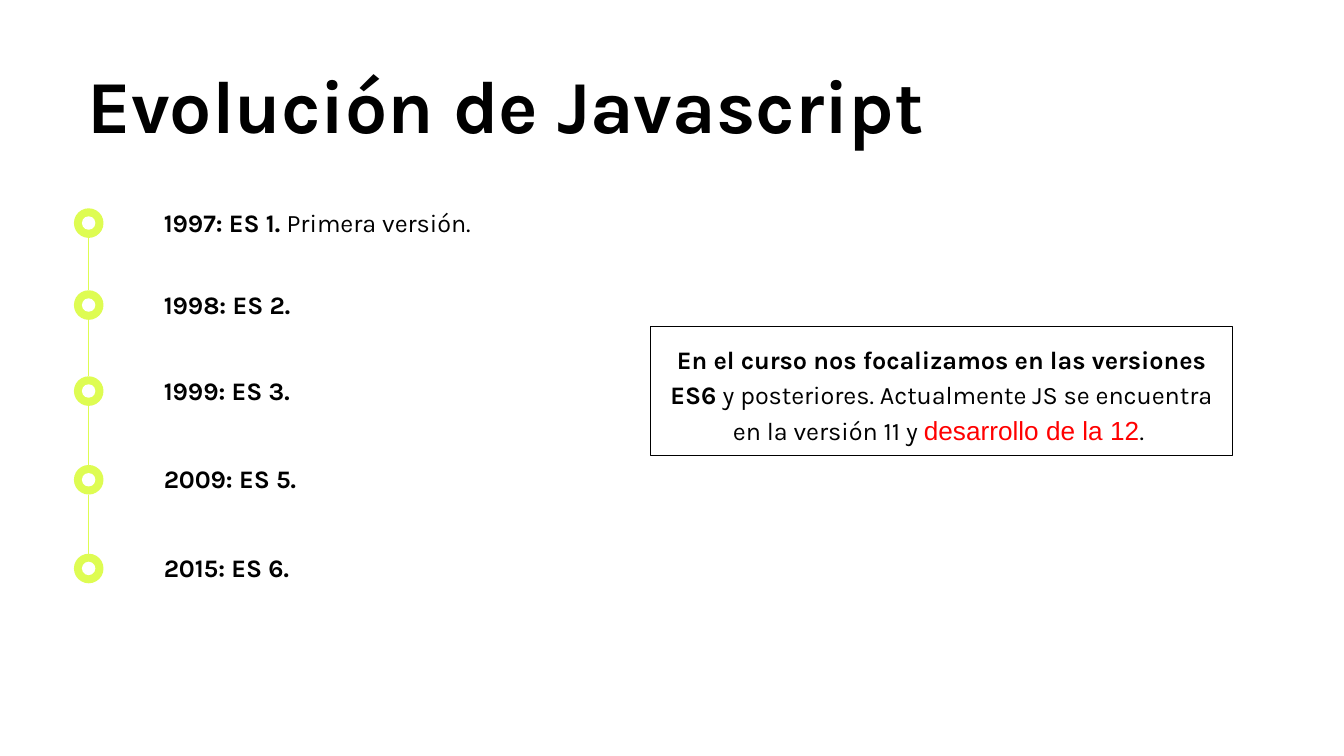
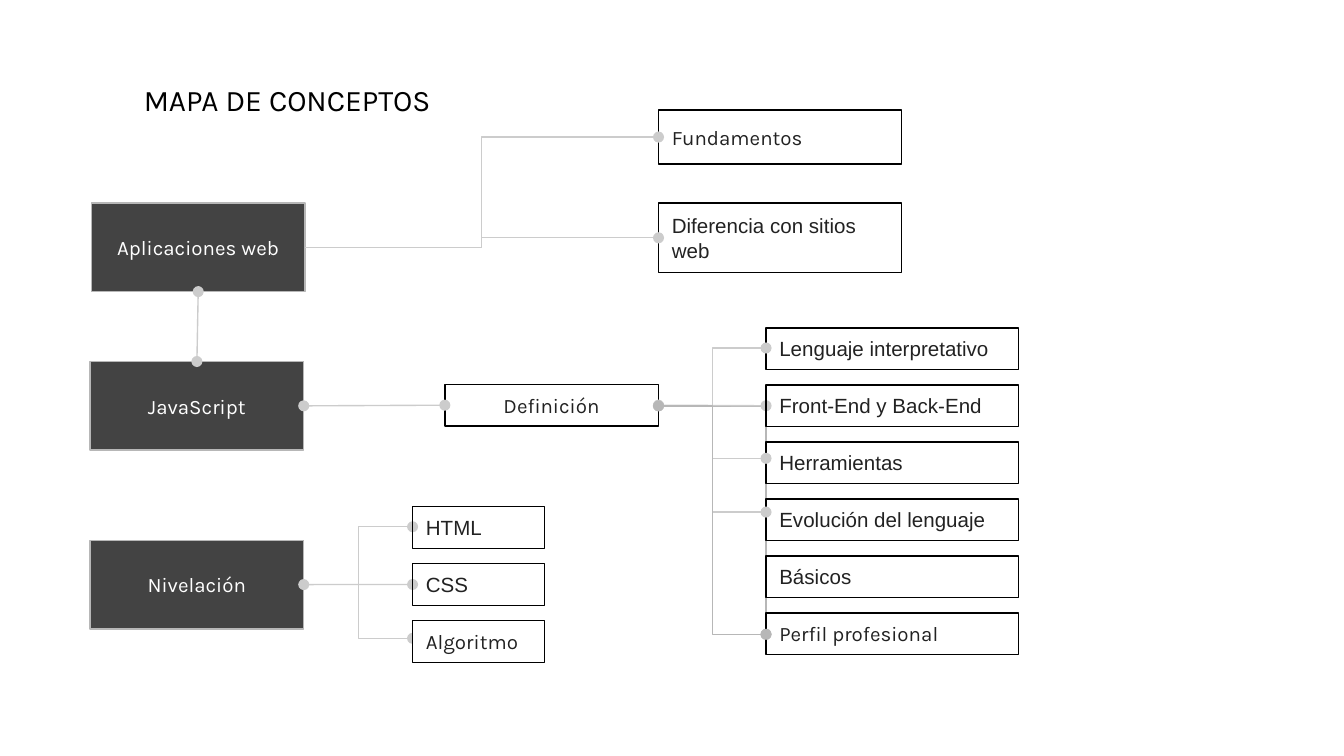
from pptx import Presentation
from pptx.dml.color import RGBColor
from pptx.enum.shapes import MSO_CONNECTOR, MSO_SHAPE
from pptx.enum.text import MSO_ANCHOR, MSO_AUTO_SIZE, PP_ALIGN
from pptx.oxml.ns import qn
from pptx.util import Inches, Pt
from lxml.etree import SubElement

SLIDE_WIDTH = 10
SLIDE_HEIGHT = SLIDE_WIDTH * 9 / 16

BLACK = RGBColor(0x00, 0x00, 0x00)
WHITE = RGBColor(0xFF, 0xFF, 0xFF)
LIME = RGBColor(0xDE, 0xFC, 0x52)
RED = RGBColor(0xFF, 0x00, 0x00)
INK = RGBColor(0x22, 0x22, 0x22)
DARK = RGBColor(0x43, 0x43, 0x43)
MID_GRAY = RGBColor(0xB7, 0xB7, 0xB7)
LIGHT_GRAY = RGBColor(0xCC, 0xCC, 0xCC)

TITLE_FONT = {"name": "Karla", "size": Pt(40), "bold": True, "color": BLACK}
MAP_TITLE_FONT = {"name": "Karla", "size": Pt(16), "bold": False, "color": BLACK}
BODY_FONT = {"name": "Karla", "size": Pt(13.5), "bold": False, "color": BLACK}
BOLD_FONT = {**BODY_FONT, "bold": True}
ALERT_FONT = {"name": "Arial", "size": Pt(14), "bold": False, "color": RED}
KARLA_LABEL = {"name": "Karla", "size": Pt(11), "bold": False, "color": INK}
ARIAL_LABEL = {**KARLA_LABEL, "name": "Arial"}
TOPIC_LABEL = {**KARLA_LABEL, "color": WHITE}

MILESTONES = [
    (1.55, [("1997: ES 1. ", BOLD_FONT), ("Primera versión.", BODY_FONT)]),
    (2.16, [("1998: ES 2.", BOLD_FONT)]),
    (2.80, [("1999: ES 3.", BOLD_FONT)]),
    (3.46, [("2009: ES 5.", BOLD_FONT)]),
    (4.12, [("2015: ES 6.", BOLD_FONT)]),
]
CALLOUT = [
    ("En el curso nos focalizamos en las versiones ES6 ", BOLD_FONT),
    ("y posteriores. Actualmente JS se encuentra en la versión 11 y ", BODY_FONT),
    ("desarrollo de la 12", ALERT_FONT),
    (". ", BODY_FONT),
]
MARKER_LEFT, MARKER_SIZE, HOLE_SIZE = 0.55, 0.22, 0.1

TOPICS = [("Aplicaciones web", 0.68, 1.51), ("JavaScript", 0.67, 2.69), ("Nivelación", 0.67, 4.02)]
WEB_BOXES = [
    ("Fundamentos", (4.9, 0.82, 1.81, 0.4), KARLA_LABEL),
    ("Diferencia con sitios web", (4.9, 1.51, 1.81, 0.52), ARIAL_LABEL),
]
LANGUAGE_LABELS = [
    ("Lenguaje interpretativo", ARIAL_LABEL),
    ("Front-End y Back-End", ARIAL_LABEL),
    ("Herramientas", ARIAL_LABEL),
    ("Evolución del lenguaje", ARIAL_LABEL),
    ("Básicos", ARIAL_LABEL),
    ("Perfil profesional", KARLA_LABEL),
]
LEVEL_LABELS = [("HTML", ARIAL_LABEL), ("CSS", ARIAL_LABEL), ("Algoritmo", KARLA_LABEL)]
ROW_HEIGHT = 0.31
ROW_STEP = (4.56 - 2.44) / 5
TOP, LEFT, BOTTOM, RIGHT = range(4)
JOINS = [
    ("JavaScript", TOP, "Aplicaciones web", BOTTOM),
    ("JavaScript", RIGHT, "Definición", LEFT),
    ("Definición", RIGHT, "Front-End y Back-End", LEFT),
    ("Nivelación", RIGHT, "CSS", LEFT),
]
BRANCHES = [
    ((2.27, 1.84), 4.9, [1.02, 1.77]),
    ((4.9, 3.02), 5.7, [2.59, 3.41, 3.81]),
    ((2.27, 4.35), 3.07, [3.92, 4.75]),
]
PROFILE_ROUTE = ((4.9, 3.02), (5.7, 4.72))
BOTH_ENDS = ("headEnd", "tailEnd")
FRONT_BOXES = ["HTML", "CSS", "Algoritmo", "Front-End y Back-End"]


def write(box, runs, align=PP_ALIGN.LEFT, anchor=MSO_ANCHOR.TOP, spacing=1.0):
    frame = box.text_frame
    layout = {"word_wrap": True, "auto_size": MSO_AUTO_SIZE.NONE, "vertical_anchor": anchor}
    for side in ("left", "top", "right", "bottom"):
        layout[f"margin_{side}"] = Inches(0.1)
    for name, value in layout.items():
        setattr(frame, name, value)
    para = frame.paragraphs[0]
    para.alignment = align
    para.line_spacing = spacing
    for text, style in runs:
        span = para.add_run()
        span.text = text
        for name, value in style.items():
            if name == "color":
                span.font.color.rgb = value
            else:
                setattr(span.font, name, value)


def add_page(deck, title, place, style, spacing=1.0):
    page = deck.slides.add_slide(deck.slide_layouts[5])
    page.background.fill.solid()
    page.background.fill.fore_color.rgb = WHITE
    box = page.shapes.title
    box.left, box.top, box.width, box.height = map(Inches, place)
    write(box, [(title, style)], spacing=spacing)
    return page


def add_box(shapes, place, fill=None, line=None, kind=MSO_SHAPE.RECTANGLE):
    box = shapes.add_shape(kind, *map(Inches, place))
    box.shadow.inherit = False
    if fill is None:
        box.fill.background()
    else:
        box.fill.solid()
        box.fill.fore_color.rgb = fill
    if line is None:
        box.line.fill.background()
    else:
        box.line.color.rgb = line
        box.line.width = Pt(0.75)
    return box


def add_wire(page, start, end, color, kind=MSO_CONNECTOR.STRAIGHT, ovals=()):
    wire = page.shapes.add_connector(kind, *map(Inches, (*start, *end)))
    wire.line.color.rgb = color
    wire.line.width = Pt(0.75)
    properties = wire._element.spPr
    for oval in ovals:
        SubElement(properties.find(qn("a:ln")), qn(f"a:{oval}"), type="oval")
    SubElement(properties, qn("a:effectLst"))
    return wire


def build_timeline(deck):
    page = add_page(deck, "Evolución de Javascript", (0.55, 0.41, 8.9, 0.81), TITLE_FONT, 0.9)
    center = MARKER_LEFT + MARKER_SIZE / 2
    inset = (MARKER_SIZE - HOLE_SIZE) / 2
    for (top, _), (next_top, _) in zip(MILESTONES, MILESTONES[1:]):
        add_wire(page, (center, top + MARKER_SIZE), (center, next_top), LIME)
    for top, runs in MILESTONES:
        marker = page.shapes.add_group_shape()
        for offset, size, color in ((0, MARKER_SIZE, LIME), (inset, HOLE_SIZE, WHITE)):
            place = (MARKER_LEFT + offset, top + offset, size, size)
            add_box(marker.shapes, place, color, kind=MSO_SHAPE.OVAL)
        label = page.shapes.add_textbox(*map(Inches, (1.12, top - 0.11, 2.89, 0.43)))
        write(label, runs)
    callout = add_box(page.shapes, (4.84, 2.43, 4.33, 0.96), line=BLACK)
    write(callout, CALLOUT, PP_ALIGN.CENTER, spacing=1.15)


def build_concept_map(deck):
    page = add_page(deck, "MAPA DE CONCEPTOS", (0.97, 0.51, 2.69, 0.47), MAP_TITLE_FONT)
    center = PP_ALIGN.CENTER
    boxes = {}

    def add_concept(text, place, style, align=PP_ALIGN.LEFT, fill=None, line=BLACK):
        boxes[text] = add_box(page.shapes, place, fill, line)
        write(boxes[text], [(text, style)], align, MSO_ANCHOR.MIDDLE)

    corner = add_wire(page, *PROFILE_ROUTE, MID_GRAY, MSO_CONNECTOR.ELBOW, BOTH_ENDS)
    corner._element.spPr.find(qn("a:prstGeom")).set("prst", "bentConnector2")
    for text, left, top in TOPICS:
        add_concept(text, (left, top, 1.59, 0.66), TOPIC_LABEL, center, DARK, MID_GRAY)
    for text, place, style in WEB_BOXES:
        add_concept(text, place, style)
    add_concept("Definición", (3.31, 2.86, 1.59, ROW_HEIGHT), KARLA_LABEL, center)
    for labels, left, top, width in ((LANGUAGE_LABELS, 5.7, 2.44, 1.88), (LEVEL_LABELS, 3.07, 3.77, 0.98)):
        for row, (text, style) in enumerate(labels):
            fill = WHITE if text == "Algoritmo" else None
            add_concept(text, (left, top + row * ROW_STEP, width, ROW_HEIGHT), style, fill=fill)

    for source, source_side, target, target_side in JOINS:
        wire = add_wire(page, (0, 0), (1, 1), LIGHT_GRAY, ovals=BOTH_ENDS)
        wire.begin_connect(boxes[source], source_side)
        wire.end_connect(boxes[target], target_side)
    for start, right, ends in BRANCHES:
        for end in ends:
            add_wire(page, start, (right, end), LIGHT_GRAY, MSO_CONNECTOR.ELBOW, ("tailEnd",))
    add_wire(page, *PROFILE_ROUTE, MID_GRAY, MSO_CONNECTOR.ELBOW, BOTH_ENDS)
    for text in FRONT_BOXES:
        element = boxes[text]._element
        element.getparent().append(element)


def main():
    deck = Presentation()
    deck.slide_width, deck.slide_height = Inches(SLIDE_WIDTH), Inches(SLIDE_HEIGHT)
    build_timeline(deck)
    build_concept_map(deck)
    deck.save("out.pptx")


if __name__ == "__main__":
    main()
